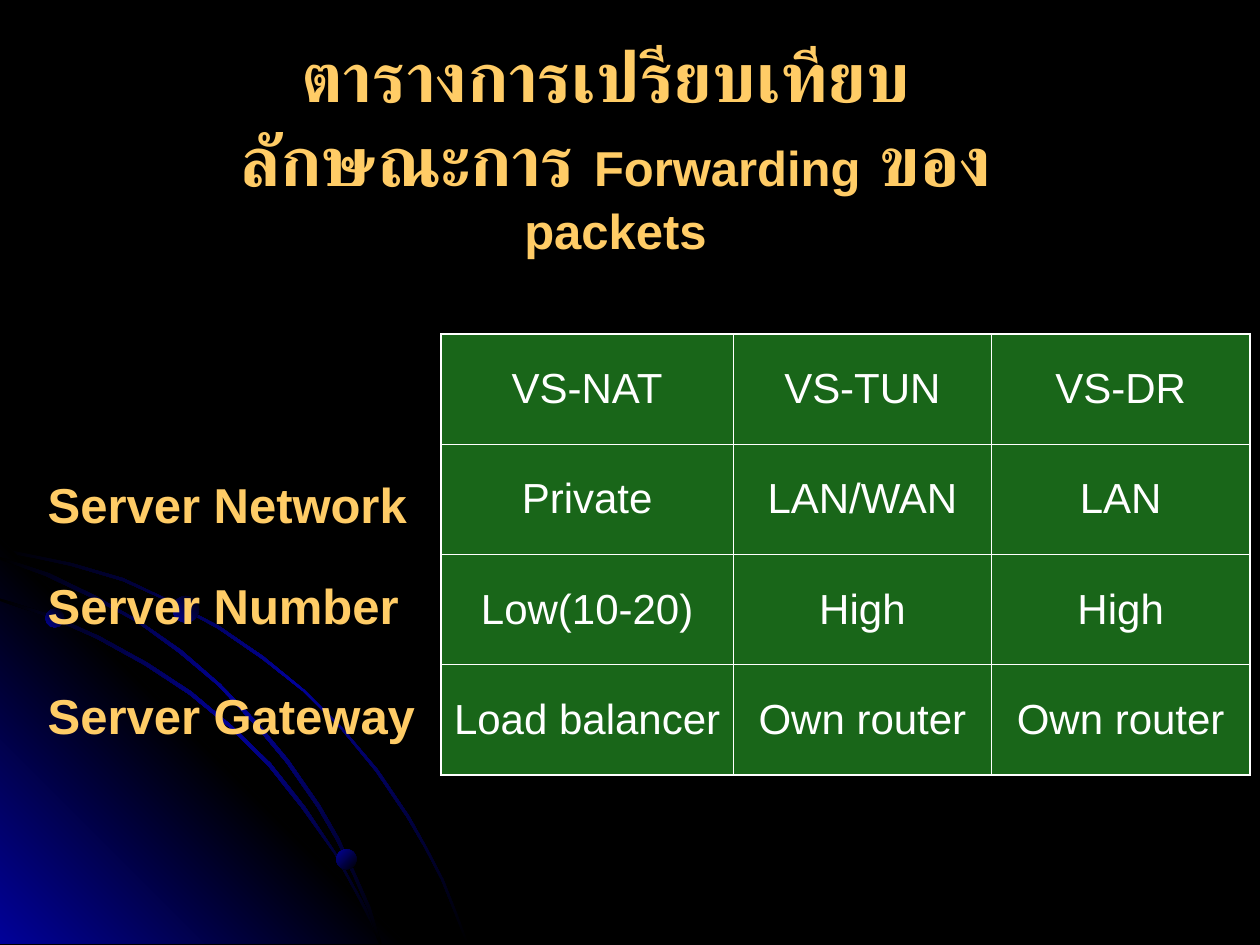
from lxml import etree
from pptx import Presentation
from pptx.dml.color import RGBColor
from pptx.enum.shapes import MSO_SHAPE
from pptx.enum.text import MSO_ANCHOR, MSO_AUTO_SIZE, PP_ALIGN
from pptx.oxml.ns import qn
from pptx.util import Inches, Pt

OVAL = MSO_SHAPE.OVAL
CENTER = PP_ALIGN.CENTER
TOP, MIDDLE = MSO_ANCHOR.TOP, MSO_ANCHOR.MIDDLE
FIXED_SIZE = MSO_AUTO_SIZE.NONE

BLACK, BLUE, GOLD, WHITE, GREEN = "000000", "010199", "FFCC66", "FFFFFF", "33CC33"
BAND = [(0, BLACK), (50, BLUE), (100, BLACK)]
CORNER = [(0, BLUE), (50, BLACK), (100, BLUE)]
DOT = [(0, BLACK), (100, BLUE)]


def style_text(run, color, **values):
    run.font.color.rgb = RGBColor.from_string(color)
    for attribute, value in {"name": "Arial", **values}.items():
        setattr(run.font, attribute, value)


def paint_gradient(shape, stops, angle):
    shape.shadow.inherit = False
    shape.line.fill.background()
    shape.fill.gradient()
    shape.fill.gradient_angle = 360 - angle
    stop_list = shape._element.spPr.find(".//" + qn("a:gsLst"))
    for old_stop in list(stop_list):
        stop_list.remove(old_stop)
    for position, color in stops:
        stop = etree.SubElement(stop_list, qn("a:gs"), pos=str(position * 1000))
        etree.SubElement(stop, qn("a:srgbClr"), val=color)


prs = Presentation()
prs.slide_width, prs.slide_height = Inches(10), Inches(7.5)
WIDTH, HEIGHT = prs.slide_width, prs.slide_height
slide = prs.slides.add_slide(prs.slide_layouts[5])
shapes = slide.shapes
slide.background.fill.solid()
slide.background.fill.fore_color.rgb = RGBColor.from_string(BLACK)

# Corner glow and arcs, outlined in hundredths of an inch
outer_arc = [
    (57, 447), (28, 441), (0, 435), (0, 438), (28, 443), (56, 449), (97, 461),
    (135, 478), (173, 499), (208, 523), (241, 549), (271, 579), (298, 612),
    (323, 649), (337, 673), (350, 698), (360, 723), (370, 749), (372, 749),
    (362, 723), (352, 698), (339, 673), (325, 648), (300, 611), (272, 578),
    (242, 548), (209, 521), (174, 497), (136, 477), (98, 459)]
glow = [(322, 749), (0, 749), (0, 427)]
lower_arc = [
    (285, 714), (294, 732), (301, 749), (303, 749), (296, 730), (286, 712),
    (266, 676), (242, 640), (215, 606), (184, 576), (152, 549), (117, 526),
    (79, 505), (41, 488), (0, 475), (0, 477), (39, 490), (77, 507), (115, 528),
    (150, 551), (183, 578), (213, 608), (240, 642), (265, 677)]
middle_arc = [
    (0, 442), (0, 444), (36, 457), (74, 475), (109, 494), (142, 518),
    (173, 544), (202, 575), (227, 605), (252, 641), (267, 667), (280, 694),
    (292, 722), (301, 749), (303, 749), (294, 720), (282, 693), (269, 665),
    (254, 639), (229, 603), (204, 573), (175, 543), (144, 516), (111, 493),
    (76, 473), (39, 455)]
for outline, stops, angle in [(outer_arc, BAND, 225), (glow, CORNER, 135),
                              (lower_arc, BAND, 225), (middle_arc, BAND, 225)]:
    builder = shapes.build_freeform(*outline[0], scale=Inches(0.01))
    builder.add_line_segments(outline[1:], close=True)
    paint_gradient(builder.convert_to_shape(), stops, angle)

# Dots on the arcs
for left, top, size, angle in [(0.36, 4.83, 0.15, 135), (2.67, 6.74, 0.16, 225),
                               (1.37, 4.73, 0.21, 135)]:
    dot = shapes.add_shape(OVAL, Inches(left), Inches(top), Inches(size), Inches(size))
    paint_gradient(dot, DOT, angle)

# Title: Thai words are larger than the English ones
title = shapes.title
title_box = {"left": 0.102 * WIDTH, "top": 0.028 * HEIGHT,
             "width": 0.773 * WIDTH, "height": 0.192 * HEIGHT}
for attribute, length in title_box.items():
    setattr(title, attribute, int(length))
title_frame = title.text_frame
title_format = {"word_wrap": True, "vertical_anchor": TOP, "auto_size": FIXED_SIZE,
                "margin_left": Inches(0.2), "margin_right": Inches(0.2)}
for attribute, value in title_format.items():
    setattr(title_frame, attribute, value)
title_lines = [
    [("ตารางการเปรียบเทียบ ", 40)],
    [("ลักษณะการ ", 40), ("Forwarding", 28), (" ของ ", 40), ("packets", 28)],
]
for number, line in enumerate(title_lines):
    paragraph = title_frame.add_paragraph() if number else title_frame.paragraphs[0]
    paragraph.alignment = CENTER
    for words, size in line:
        run = paragraph.add_run()
        run.text = words
        style_text(run, GOLD, size=Pt(size), bold=True)

# Comparison table
comparison = [
    ["VS-NAT", "VS-TUN", "VS-DR"],
    ["Private", "LAN/WAN", "LAN"],
    ["Low(10-20)", "High", "High"],
    ["Load balancer", "Own router", "Own router"],
]
column_widths = [Inches(2.32), Inches(2.05), Inches(2.05)]
table_height = Inches(3.5)
row_height = table_height // len(comparison)
last_row, last_column = len(comparison) - 1, len(column_widths) - 1
table = shapes.add_table(len(comparison), len(column_widths), int(0.35 * WIDTH), Inches(2.65),
                         sum(column_widths), table_height).table
table.first_row = table.horz_banding = False
for column, width in zip(table.columns, column_widths):
    column.width = width
for r, row in enumerate(comparison):
    table.rows[r].height = row_height
    for c, words in enumerate(row):
        cell = table.cell(r, c)
        cell.vertical_anchor = MIDDLE
        paragraph = cell.text_frame.paragraphs[0]
        paragraph.alignment = CENTER
        run = paragraph.add_run()
        run.text = words
        style_text(run, WHITE, size=Pt(24))
        # Outer borders are thicker than inner ones
        properties = cell._tc.get_or_add_tcPr()
        on_edge = {"a:lnL": c == 0, "a:lnR": c == last_column,
                   "a:lnT": r == 0, "a:lnB": r == last_row}
        for side, outer in on_edge.items():
            border = etree.SubElement(properties, qn(side), w=str(Pt(1.08 if outer else 0.45)))
            border_fill = etree.SubElement(border, qn("a:solidFill"))
            etree.SubElement(border_fill, qn("a:srgbClr"), val=WHITE)
        # Half-transparent green
        cell.fill.solid()
        cell.fill.fore_color.rgb = RGBColor.from_string(GREEN)
        fill_color = properties.find(qn("a:solidFill")).find(qn("a:srgbClr"))
        etree.SubElement(fill_color, qn("a:alpha"), val="50000")

# Row labels beside the table, each on one line
for words, top in [("Server Network", 3.72), ("Server Number", 4.52), ("Server Gateway", 5.39)]:
    label = shapes.add_textbox(int(0.028 * WIDTH), Inches(top), int(0.318 * WIDTH), Inches(0.57))
    label.text_frame.word_wrap = False
    label.text_frame.auto_size = FIXED_SIZE
    run = label.text_frame.paragraphs[0].add_run()
    run.text = words
    style_text(run, GOLD, size=Pt(28), bold=True)

prs.save("out.pptx")
